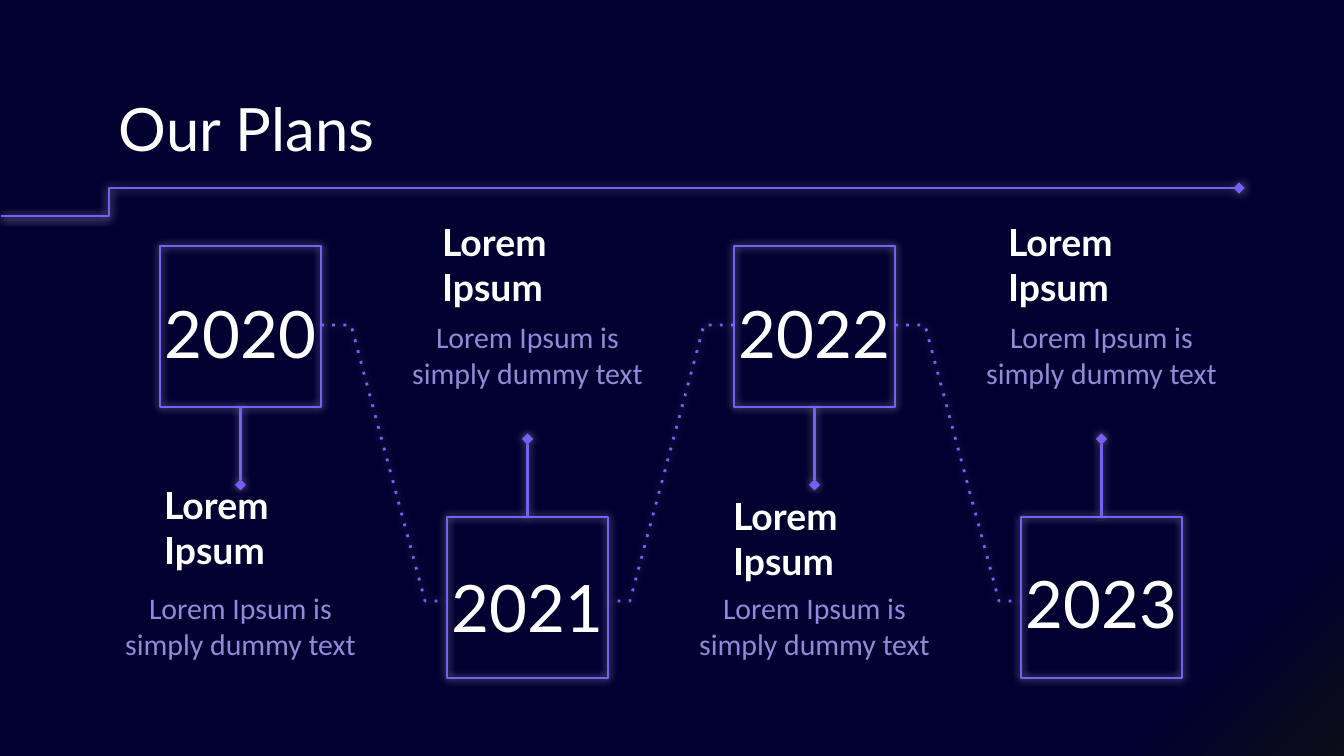
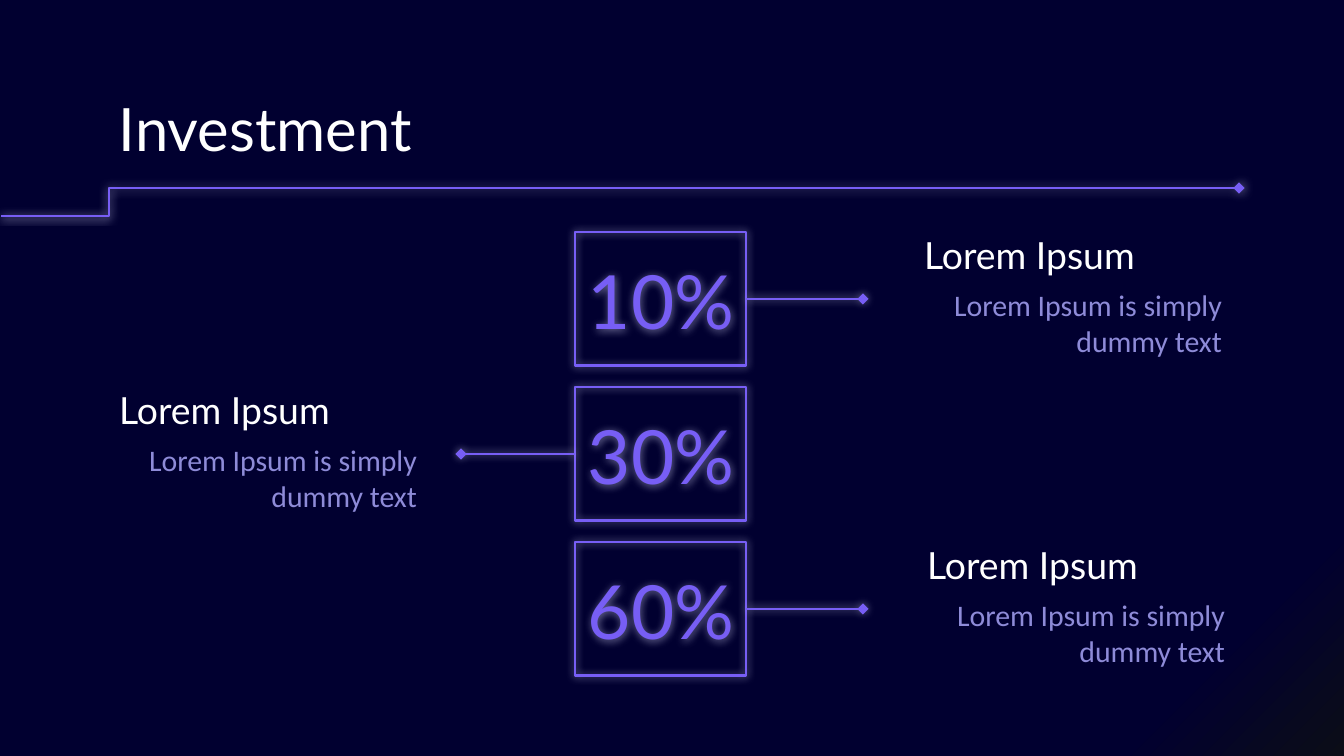
from dataclasses import dataclass

from pptx import Presentation
from pptx.dml.color import RGBColor
from pptx.enum.shapes import MSO_CONNECTOR, MSO_SHAPE
from pptx.enum.text import MSO_ANCHOR, PP_ALIGN
from pptx.oxml import parse_xml
from pptx.oxml.ns import nsdecls
from pptx.util import Pt

RECTANGLE, STRAIGHT = MSO_SHAPE.RECTANGLE, MSO_CONNECTOR.STRAIGHT
TOP, MIDDLE = MSO_ANCHOR.TOP, MSO_ANCHOR.MIDDLE
LEFT, CENTER, RIGHT = PP_ALIGN.LEFT, PP_ALIGN.CENTER, PP_ALIGN.RIGHT
SIDE_TOP, SIDE_LEFT, SIDE_BOTTOM, SIDE_RIGHT = range(4)


@dataclass(frozen=True)
class Theme:
    night: str = "010030"
    corner: str = "0B0D17"
    violet: str = "775EF5"
    lilac: str = "8E8BD8"
    white: str = "FFFFFF"
    glow: str = "DFDEFF"
    display_font: str = "Lato"
    body_font: str = "Calibri"
    title_size: int = 32
    year_size: int = 35
    percent_size: int = 40
    heading_size: int = 20
    body_size: int = 16
    line_width: float = 1.5
    glow_blur: float = 4.5


THEME = Theme()

# Lengths are in px, 134.4 to the inch.
SCALE = 914400 / 134.4
SLIDE_WIDTH, SLIDE_HEIGHT = 1344, 756
INSET = 13
TITLE_BOX = (106, 79, 1133, 85)
TITLE_RULE = [(1, 216), (109, 216), (109, 188), (1239, 188)]
LABEL_HEIGHT, BODY_HEIGHT = 62, 102

HEADING = "Lorem Ipsum"
BODY = "Lorem Ipsum is simply dummy text"

# year, top of year label, left and top of heading
PLANS = [
    ("2020", 296, 151, 496),
    ("2021", 570, 429, 233),
    ("2022", 296, 720, 507),
    ("2023", 566, 995, 233),
]
PLAN_LEFT, PLAN_PITCH, PLAN_SIZE = 160, 287, 161
UPPER_TOP, LOWER_TOP = 246, 517
UPPER_BODY_TOP, LOWER_BODY_TOP = 304, 575
PLAN_TEXT_LEFT, PLAN_TEXT_WIDTH, PLAN_HEADING_WIDTH = 106, 269, 215
STEM = 78
LINK_STEPS = [(0, 325), (30, 325), (104, 601), (126, 601)]

# share, side of the box, outer end of the pointer, left of text
SHARES = [
    ("10%", SIDE_RIGHT, 863, 911),
    ("30%", SIDE_LEFT, 461, 106),
    ("60%", SIDE_RIGHT, 863, 914),
]
SHARE_LEFT, SHARE_TOP, SHARE_PITCH = 575, 232, 155
SHARE_WIDTH, SHARE_HEIGHT = 171, 134
SHARE_TEXT_WIDTH, PERCENT_LEFT = 324, 499
PERCENT_DROP, HEADING_DROP, BODY_DROP = 37, -8, 40


def px(length):
    return round(length * SCALE)


def color(value):
    return RGBColor.from_string(value)


def add_glow(shape):
    shape.element.spPr.append(parse_xml(
        f'<a:effectLst {nsdecls("a")}>'
        f'<a:outerShdw blurRad="{Pt(THEME.glow_blur)}" dist="0" dir="0" algn="ctr" rotWithShape="0">'
        f'<a:srgbClr val="{THEME.glow}"><a:alpha val="50000"/></a:srgbClr>'
        '</a:outerShdw></a:effectLst>'))


def style_line(shape, dotted=False, diamond=False):
    """Glowing violet line, dotted or with a diamond at its end on request."""
    shape.line.color.rgb = color(THEME.violet)
    shape.line.width = Pt(THEME.line_width)
    line = shape.line._get_or_add_ln()
    if dotted:
        line.append(parse_xml(f'<a:prstDash {nsdecls("a")} val="dot"/>'))
    if diamond:
        line.append(parse_xml(f'<a:tailEnd {nsdecls("a")} type="diamond"/>'))
    add_glow(shape)


def add_box(slide, *bounds):
    box = slide.shapes.add_shape(RECTANGLE, *map(px, bounds))
    box.fill.background()
    style_line(box)
    return box


def add_path(slide, points, **line_style):
    builder = slide.shapes.build_freeform(*points[0], scale=SCALE)
    builder.add_line_segments(points[1:], close=False)
    outline = builder.convert_to_shape()
    outline.fill.background()
    style_line(outline, **line_style)


def add_pointer(slide, box, side, end_x, end_y):
    """Line from the middle of a box side to a diamond."""
    pointer = slide.shapes.add_connector(STRAIGHT, 0, 0, px(end_x), px(end_y))
    pointer.begin_connect(box, side)
    style_line(pointer, diamond=True)


def add_text(slide, text, bounds, size, text_color=THEME.white, font=THEME.display_font,
             align=LEFT, anchor=MIDDLE, bold=False, spacing=None):
    text_box = slide.shapes.add_textbox(*map(px, bounds))
    frame = text_box.text_frame
    frame.word_wrap = True
    frame.vertical_anchor = anchor
    frame.margin_left = frame.margin_right = frame.margin_top = frame.margin_bottom = px(INSET)
    paragraph = frame.paragraphs[0]
    paragraph.alignment = align
    if spacing:
        paragraph.line_spacing = spacing
    run = paragraph.add_run()
    run.text = text
    run.font.size = Pt(size)
    run.font.name = font
    run.font.bold = bold
    run.font.color.rgb = color(text_color)
    return text_box


def add_body(slide, left, top, width, align):
    add_text(slide, BODY, (left, top, width, BODY_HEIGHT), THEME.body_size,
             THEME.lilac, THEME.body_font, align)


def add_titled_slide(presentation, title):
    slide = presentation.slides.add_slide(presentation.slide_layouts[6])
    fill = slide.background.fill
    fill.gradient()
    fill.gradient_angle = 315
    stops = [(0.89, THEME.night), (1, THEME.corner)]
    for stop, (position, stop_color) in zip(fill.gradient_stops, stops):
        stop.position = position
        stop.color.rgb = color(stop_color)
    add_path(slide, TITLE_RULE, diamond=True)
    add_text(slide, title, TITLE_BOX, THEME.title_size, anchor=TOP)
    return slide


def build_plans(presentation):
    slide = add_titled_slide(presentation, "Our Plans")
    for index, (year, year_top, heading_left, heading_top) in enumerate(PLANS):
        upper = index % 2 == 0
        shift = index * PLAN_PITCH
        left = PLAN_LEFT + shift
        text_left = PLAN_TEXT_LEFT + shift
        top = UPPER_TOP if upper else LOWER_TOP
        box = add_box(slide, left, top, PLAN_SIZE, PLAN_SIZE)
        side, stem_end = (SIDE_BOTTOM, top + PLAN_SIZE + STEM) if upper else (SIDE_TOP, top - STEM)
        add_pointer(slide, box, side, left + PLAN_SIZE / 2, stem_end)
        if index < len(PLANS) - 1:
            right, next_left = left + PLAN_SIZE, left + PLAN_PITCH
            add_path(slide, [(right + step if upper else next_left - step, y)
                             for step, y in LINK_STEPS], dotted=True)
        add_text(slide, year, (text_left, year_top, PLAN_TEXT_WIDTH, LABEL_HEIGHT),
                 THEME.year_size, align=CENTER, spacing=1.15)
        add_body(slide, text_left, LOWER_BODY_TOP if upper else UPPER_BODY_TOP,
                 PLAN_TEXT_WIDTH, CENTER)
        add_text(slide, HEADING, (heading_left, heading_top, PLAN_HEADING_WIDTH, LABEL_HEIGHT),
                 THEME.heading_size, bold=True)


def build_investment(presentation):
    slide = add_titled_slide(presentation, "Investment")
    for index, (share, side, pointer_end, text_left) in enumerate(SHARES):
        top = SHARE_TOP + index * SHARE_PITCH
        box = add_box(slide, SHARE_LEFT, top, SHARE_WIDTH, SHARE_HEIGHT)
        add_pointer(slide, box, side, pointer_end, top + SHARE_HEIGHT / 2)
        percent = add_text(slide, share,
                           (PERCENT_LEFT, top + PERCENT_DROP, SHARE_TEXT_WIDTH, LABEL_HEIGHT),
                           THEME.percent_size, THEME.violet, align=CENTER)
        add_glow(percent)
        add_text(slide, HEADING, (text_left, top + HEADING_DROP, SHARE_TEXT_WIDTH, LABEL_HEIGHT),
                 THEME.heading_size)
        add_body(slide, text_left, top + BODY_DROP, SHARE_TEXT_WIDTH, RIGHT)


def main():
    presentation = Presentation()
    presentation.slide_width = px(SLIDE_WIDTH)
    presentation.slide_height = px(SLIDE_HEIGHT)
    build_plans(presentation)
    build_investment(presentation)
    presentation.save("out.pptx")


if __name__ == "__main__":
    main()
